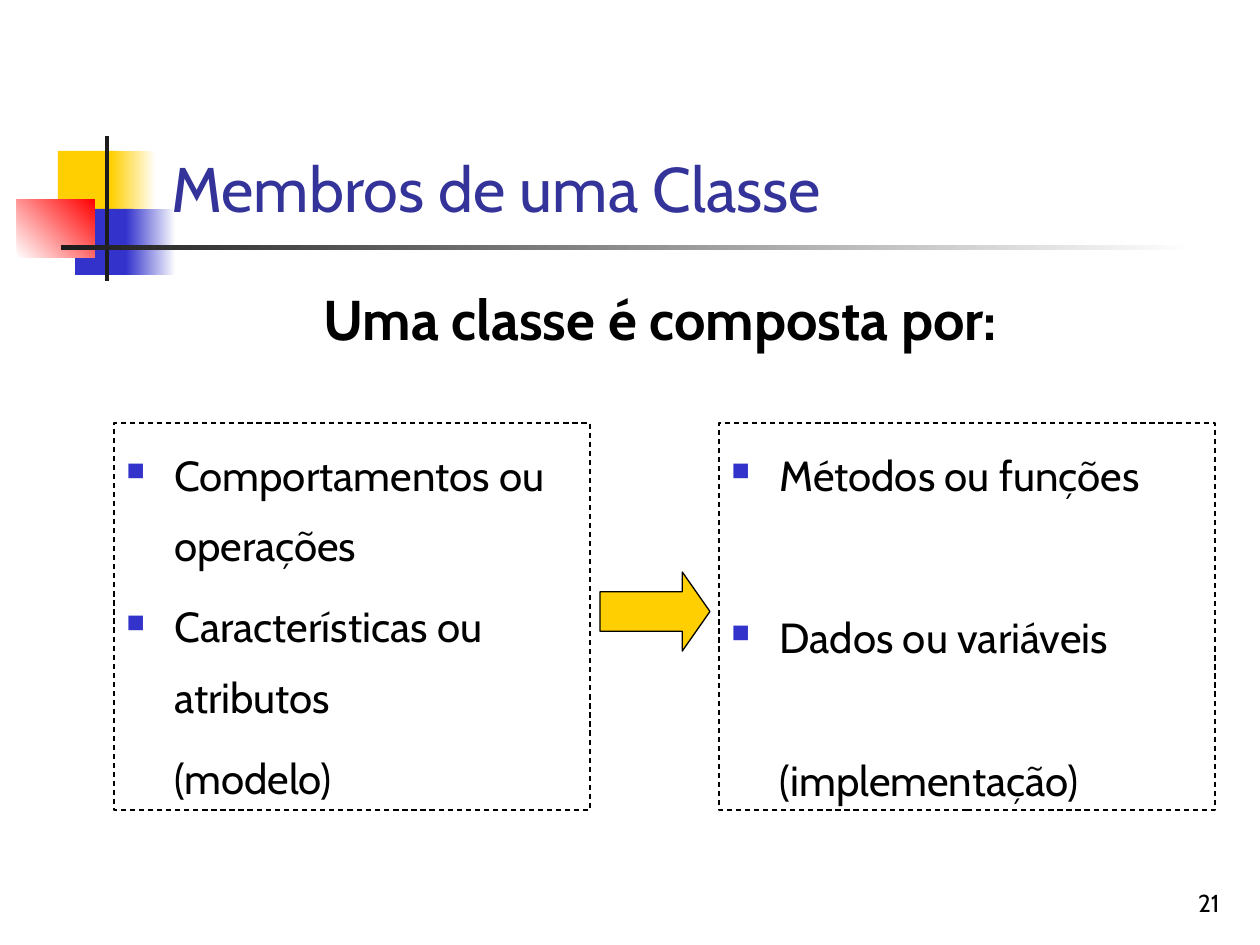
from lxml.etree import SubElement
from pptx import Presentation
from pptx.dml.color import RGBColor
from pptx.enum.dml import MSO_LINE
from pptx.enum.shapes import MSO_SHAPE
from pptx.enum.text import MSO_ANCHOR, PP_ALIGN
from pptx.oxml.ns import qn
from pptx.util import Inches, Pt

PX = Inches(1) / 126
FONT = "Cabin"
BLACK, WHITE, GREY = "000000", "FFFFFF", "1C1C1C"
GOLD, BLUE, RED, NAVY = "FFCF01", "3333CC", "FF0000", "333399"
INDENT = 48

rgb = RGBColor.from_string
deck = Presentation()
deck.slide_width, deck.slide_height = Inches(10), Inches(7.5)
slide = deck.slides.add_slide(deck.slide_layouts[6])


def draw(form, box, fill=None, line=None):
    """Add a preset shape; fill is a colour, None or (start, end, angle)."""
    shape = slide.shapes.add_shape(form, *[round(n * PX) for n in box])
    shape.shadow.inherit = False
    if fill is None:
        shape.fill.background()
    elif isinstance(fill, str):
        shape.fill.solid()
        shape.fill.fore_color.rgb = rgb(fill)
    else:
        start, end, angle = fill
        shape.fill.gradient()
        shape.fill.gradient_angle = angle
        for stop, hue in zip(shape.fill.gradient_stops, (start, end)):
            stop.color.rgb = rgb(hue)
            stop.position = 0 if hue == start else 1
    if line:
        shape.line.color.rgb = rgb(line)
        shape.line.width = Pt(0.75)
    else:
        shape.line.fill.background()
    return shape


def write(para, text, size, color=BLACK, bold=False):
    run = para.add_run()
    run.text = text
    run.font.name = FONT
    run.font.size = Pt(size)
    run.font.bold = bold
    run.font.color.rgb = rgb(color)


# Corner ornament and title rule
for box, fill in [
    ((58, 151, 60, 66), GOLD),
    ((111, 151, 45, 66), (GOLD, WHITE, 0)),
    ((75, 209, 58, 66), BLUE),
    ((126, 209, 50, 66), (BLUE, WHITE, 0)),
    ((17, 199, 78, 59), (WHITE, RED, 45)),
    ((105, 136, 4, 145), GREY),
    ((61, 245, 1134, 5), (GREY, WHITE, 0)),
]:
    draw(MSO_SHAPE.RECTANGLE, box, fill)

# Page number, title and lead
for box, text, size, color, bold, align, anchor, before in [
    ((970, 861, 262, 63), "21", 14, BLACK, False,
     PP_ALIGN.RIGHT, MSO_ANCHOR.BOTTOM, 0),
    ((159, 29, 1074, 202), "Membros de uma Classe", 36, NAVY, False,
     PP_ALIGN.LEFT, MSO_ANCHOR.BOTTOM, 0),
    ((125, 278, 1071, 97), "Uma classe é composta por:", 32, BLACK, True,
     PP_ALIGN.CENTER, MSO_ANCHOR.TOP, 8),
]:
    label = slide.shapes.add_textbox(*[round(n * PX) for n in box])
    frame = label.text_frame
    frame.word_wrap = True
    frame.vertical_anchor = anchor
    para = frame.paragraphs[0]
    para.alignment = align
    para.space_before = Pt(before)
    write(para, text, size, color, bold)

# Model and implementation panels: (text, bulleted, space before)
for box, items in [
    ((114, 423, 476, 387), [
        ("Comportamentos ou operações", True, 6),
        ("Características ou atributos", True, 6),
        ("(modelo)", False, 6),
    ]),
    ((719, 423, 496, 387), [
        ("Métodos ou funções", True, 6),
        ("Dados ou variáveis", True, 52.5),
        ("(implementação)", False, 41),
    ]),
]:
    panel = draw(MSO_SHAPE.RECTANGLE, box, line=BLACK)
    panel.line.dash_style = MSO_LINE.DASH
    frame = panel.text_frame
    frame.word_wrap = True
    frame.vertical_anchor = MSO_ANCHOR.TOP
    for i, (text, bullet, before) in enumerate(items):
        para = frame.add_paragraph() if i else frame.paragraphs[0]
        para.alignment = PP_ALIGN.LEFT
        para.line_spacing = 1.4
        para.space_before = Pt(before)
        props = para._p.get_or_add_pPr()
        props.set("marL", str(round(INDENT * PX)))
        if bullet:
            props.set("indent", str(round(-INDENT * PX)))
            tint = SubElement(props, qn("a:buClr"))
            SubElement(tint, qn("a:srgbClr"), val=BLUE)
            SubElement(props, qn("a:buSzPct"), val="60000")
            SubElement(props, qn("a:buChar"), char="■")
        write(para, text, 24)

arrow = draw(MSO_SHAPE.RIGHT_ARROW, (600, 572, 110, 79), GOLD, BLACK)
arrow.adjustments[0] = 0.5
arrow.adjustments[1] = 0.35

deck.save("out.pptx")
